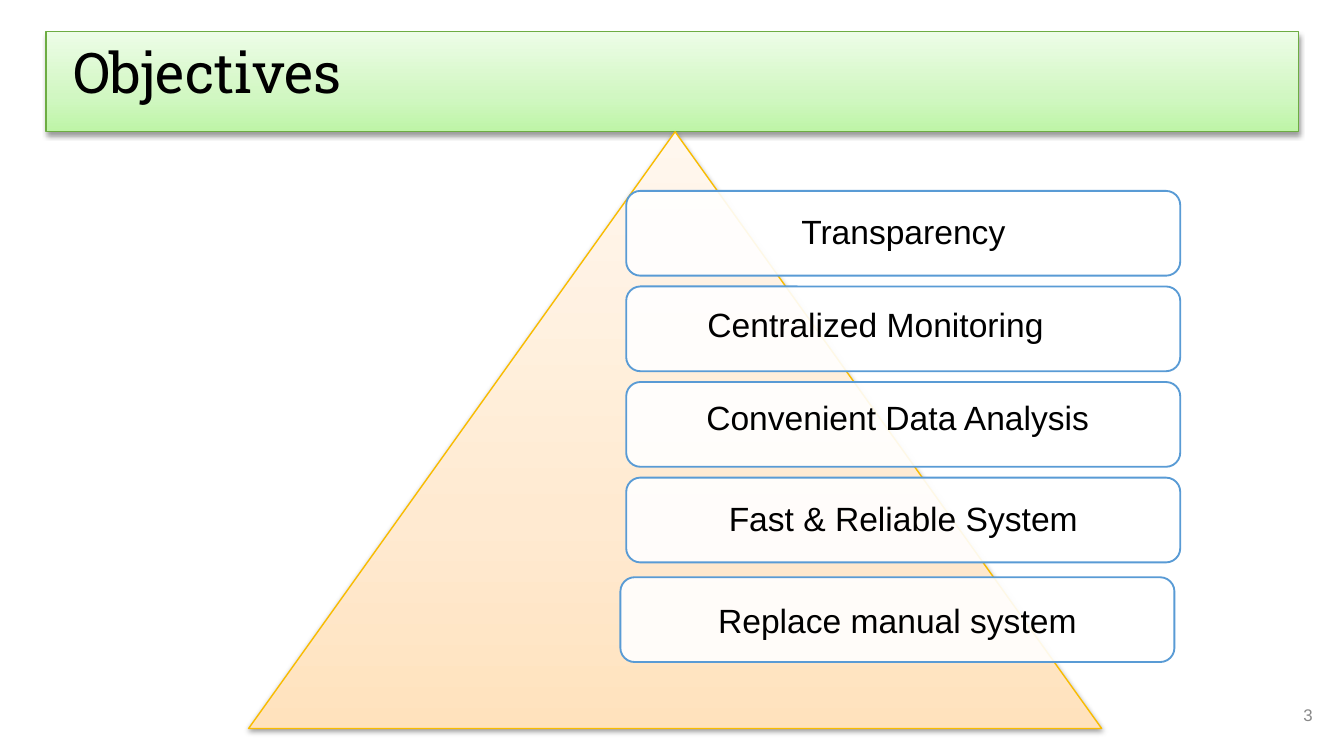
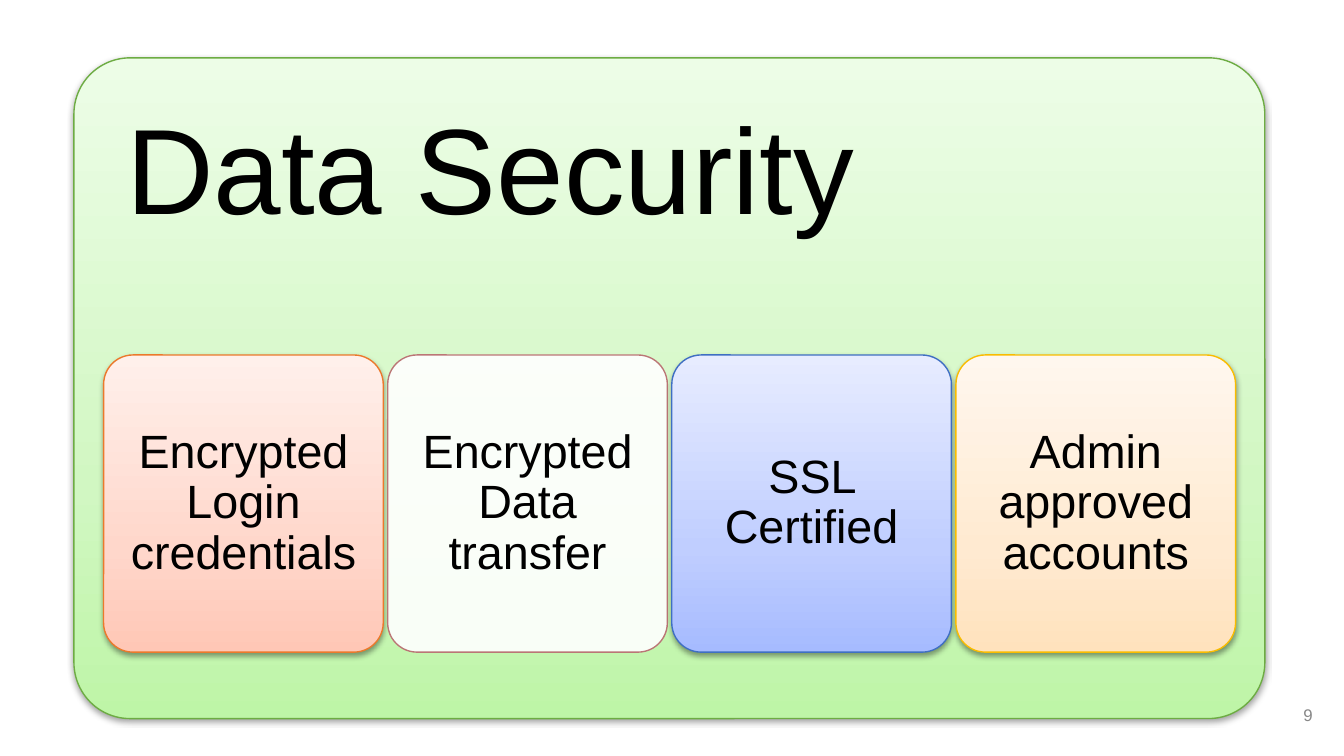
from lxml import etree
from pptx import Presentation
from pptx.dml.color import RGBColor
from pptx.enum import shapes, text
from pptx.oxml import ns
from pptx.util import Pt

GREEN = (("BEF5A7", "D1F7C2", "EDFDE7"), "6DAC43")
ORANGE = (("FFE2BD", "FFEAD1", "FFF7EE"), "F9BC00")
RED = (("FFC7B6", "FFD7CB", "FFF0EB"), "EC792B")
BLUE = (("A6BBFF", "C0CEFF", "E7ECFF"), "3F6FC3")
CLEAR = (None, "BB7676")
STOPS = (0, 35, 100)
INSET = (7.2, 7.2, 7.2, 7.2)

OBJECTIVES = [
    ("Transparency", 3, 2.2),
    ("Centralized Monitoring", -11.9, 0.9),
    ("Convenient Data Analysis", 0, -0.4),
    ("Fast & Reliable System", 3, 2.6),
]
SAFEGUARDS = [
    ("Encrypted Login credentials ", RED),
    ("Encrypted Data transfer", CLEAR),
    ("SSL Certified", BLUE),
    ("Admin approved accounts", ORANGE),
]


def color(value):
    return RGBColor.from_string(value)


def add_node(parent, name, **attributes):
    node = etree.SubElement(parent, ns.qn(name))
    for key, value in attributes.items():
        node.set(key, str(value))
    return node


def fill_gradient(shape, colors):
    shape.fill.gradient()
    shape.fill.gradient_angle = 90
    stops = shape._element.spPr.find(".//" + ns.qn("a:gsLst"))
    for stop in list(stops):
        stops.remove(stop)
    for position, value in zip(STOPS, colors):
        stop = add_node(stops, "a:gs", pos=position * 1000)
        add_node(stop, "a:srgbClr", val=value)


def fill_translucent(shape):
    shape.fill.solid()
    shape.fill.fore_color.rgb = color("FFFFFF")
    tint = shape._element.spPr.find(ns.qn("a:solidFill") + "/" + ns.qn("a:srgbClr"))
    add_node(tint, "a:alpha", val=90000)


def cast_shadow(shape):
    effects = shape._element.spPr.find(ns.qn("a:effectLst"))
    shadow = add_node(effects, "a:outerShdw", blurRad=Pt(3.1), dist=Pt(1.6),
                      dir=5400000, rotWithShape=0)
    tint = add_node(shadow, "a:srgbClr", val="000000")
    add_node(tint, "a:alpha", val=38000)


def add_panel(page, kind, box, style, corner=None, weight=0.75):
    colors, line = style
    shape = page.shapes.add_shape(kind, *map(Pt, box))
    shape.shadow.inherit = False
    if corner is not None:
        shape.adjustments[0] = corner
    if colors:
        fill_gradient(shape, colors)
        cast_shadow(shape)
    else:
        fill_translucent(shape)
    shape.line.color.rgb = color(line)
    shape.line.width = Pt(weight)
    return shape


def write(shape, words, size=18, font="Arial", ink="000000", align="CENTER",
          anchor="MIDDLE", spacing=0.9, inset=INSET):
    frame = shape.text_frame
    frame.word_wrap = True
    frame.auto_size = text.MSO_AUTO_SIZE.NONE
    frame.vertical_anchor = getattr(text.MSO_ANCHOR, anchor)
    frame.margin_left, frame.margin_top, frame.margin_right, frame.margin_bottom = map(Pt, inset)
    para = frame.paragraphs[0]
    para.alignment = getattr(text.PP_ALIGN, align)
    para.line_spacing = spacing
    span = para.add_run()
    span.text = words
    span.font.size = Pt(size)
    span.font.name = font
    span.font.color.rgb = color(ink)


def add_text(page, box, words, **style):
    write(page.shapes.add_textbox(*map(Pt, box)), words, **style)


def add_number(page, number):
    add_text(page, (667.2, 367.2, 43.2, 31), number, size=9, ink="888888",
             align="RIGHT", spacing=1.0)


def add_title_band(page, box, words):
    band = add_panel(page, shapes.MSO_SHAPE.RECTANGLE, box, GREEN)
    write(band, words, size=30, font="Roboto Slab", align="LEFT", anchor="TOP")


def add_objectives(page, box):
    left, top, width, height = box
    add_panel(page, shapes.MSO_SHAPE.ISOSCELES_TRIANGLE, box, ORANGE)
    row_left, row_top, pitch = left + 202.3, top + 31.7, 51.2
    row_width, row_height = 296.8, 45.4

    def add_row(x, y):
        return add_panel(page, shapes.MSO_SHAPE.ROUNDED_RECTANGLE,
                         (x, y, row_width, row_height), (None, "599BD5"), 0.167, 1)

    for index, (words, shift, drop) in enumerate(OBJECTIVES):
        y = row_top + index * pitch
        add_row(row_left, y)
        add_text(page, (row_left + shift, y + drop, 290.9, 41), words, inset=(5, 5, 5, 5))
    last = add_row(row_left - 3.1, row_top + 207)
    write(last, "Replace manual system", spacing=1.0)


def add_security(page, box):
    left, top, width, height = box
    rounded = shapes.MSO_SHAPE.ROUNDED_RECTANGLE
    add_panel(page, rounded, box, GREEN, 0.085)
    add_text(page, (left + 8.6, top + 8.6, width - 17.2, height - 17.2), "Data Security",
             size=65, align="LEFT", anchor="TOP", inset=(19.4, 19.4, 19.4, 19.4))
    card_top, card_width, card_height, pad = top + 159.2, 149.8, 159.2, 4.7
    for index, (words, style) in enumerate(SAFEGUARDS):
        x = left + 15.9 + index * 152.2
        add_panel(page, rounded, (x, card_top, card_width, card_height), style, 0.105)
        add_text(page, (x + pad, card_top + pad, card_width - 2 * pad, card_height - 2 * pad),
                 words, size=25)


def main():
    deck = Presentation()
    deck.slide_width, deck.slide_height = Pt(720), Pt(405)
    blank = deck.slide_layouts[6]

    page = deck.slides.add_slide(blank)
    add_title_band(page, (24.6, 17, 671, 53.5), " Objectives")
    add_number(page, "3")
    add_objectives(page, (133.2, 70.6, 457, 319.7))

    page = deck.slides.add_slide(blank)
    add_number(page, "9")
    add_security(page, (39.6, 31, 638, 354))

    deck.save("out.pptx")


if __name__ == "__main__":
    main()
